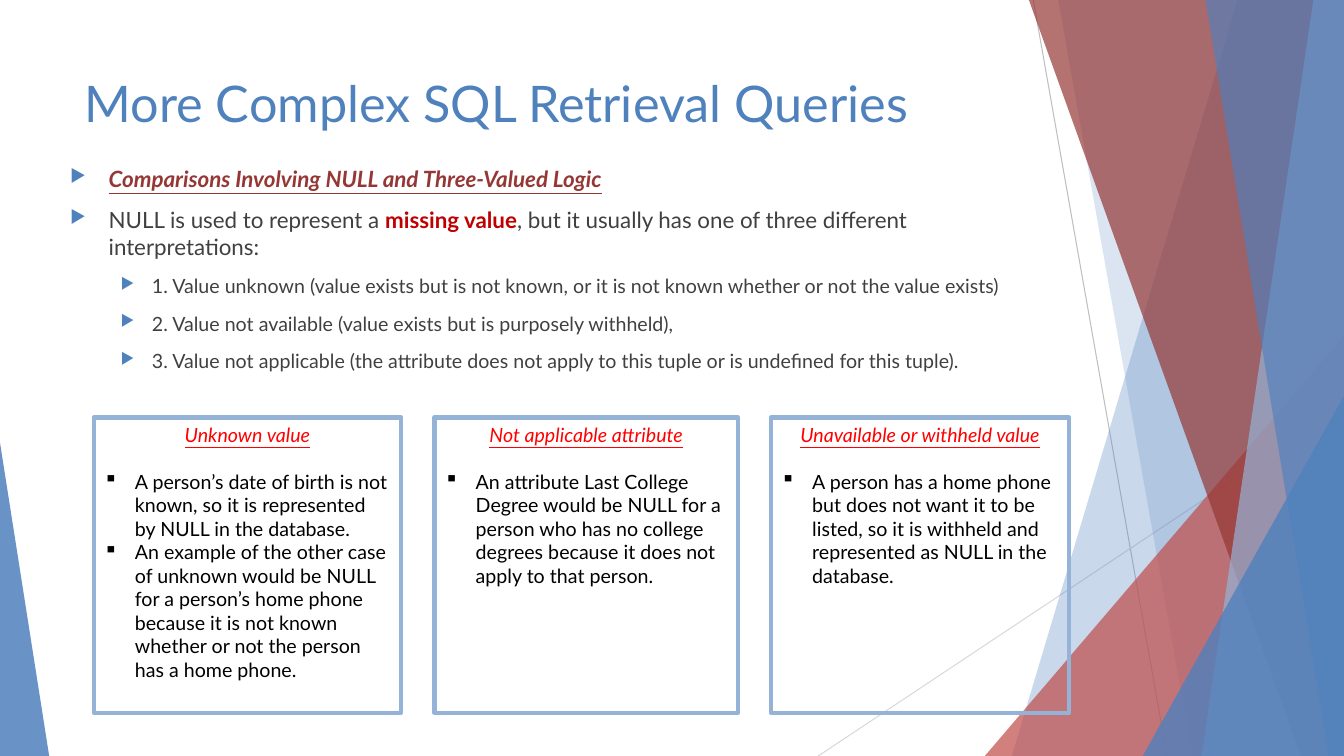
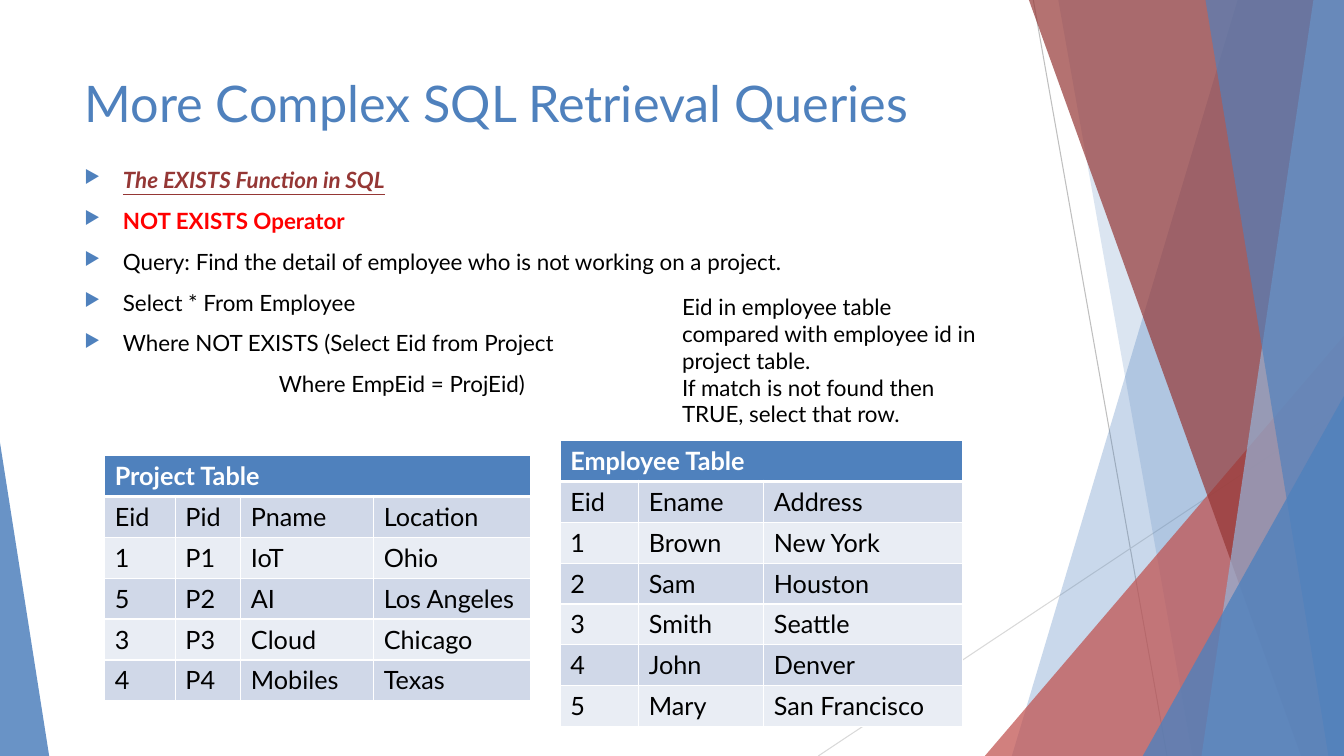
from lxml import etree
from pptx import Presentation
from pptx.dml.color import RGBColor
from pptx.enum.shapes import MSO_CONNECTOR, MSO_SHAPE
from pptx.enum.text import MSO_ANCHOR, PP_ALIGN
from pptx.oxml.ns import qn
from pptx.util import Cm, Pt

STRAIGHT = MSO_CONNECTOR.STRAIGHT
RECTANGLE, TRIANGLE = MSO_SHAPE.RECTANGLE, MSO_SHAPE.ISOSCELES_TRIANGLE
TOP, LEFT, CENTER = MSO_ANCHOR.TOP, PP_ALIGN.LEFT, PP_ALIGN.CENTER

BLUE = RGBColor(0x4F, 0x81, 0xBD)
LIGHT_BLUE = RGBColor(0x95, 0xB3, 0xD7)
RED = RGBColor(0xC0, 0x50, 0x4D)
DARK_RED = RGBColor(0x95, 0x37, 0x35)
BRIGHT_RED = RGBColor(0xFF, 0x00, 0x00)
STRONG_RED = RGBColor(0xC0, 0x00, 0x00)
BLACK = RGBColor(0x00, 0x00, 0x00)
WHITE = RGBColor(0xFF, 0xFF, 0xFF)
GRAY = RGBColor(0x40, 0x40, 0x40)
LINE_GRAY = RGBColor(0xBF, 0xBF, 0xBF)
PALE_GRAY = RGBColor(0xD9, 0xD9, 0xD9)
ROW_DARK = RGBColor(0xD0, 0xD8, 0xE8)
ROW_LIGHT = RGBColor(0xE9, 0xED, 0xF4)

FONT = "Lato"
WIDTH, HEIGHT = 33.87, 19.05

# Paragraph formats, with bullets as (character, left margin, hanging indent, colour)
SPACED = {"space_before": Pt(10)}
ARROW = ("▶", 0.97, 0.97, BLUE)
SUB_ARROW = ("▶", 2.06, 0.79, BLUE)
SQUARE = ("▪", 0.79, 0.79, None)

# Run formats
TOPIC = {"bold": True, "italic": True, "underline": True}
BOLD = {"bold": True}
CARD_TITLE = {"italic": True, "underline": True}


def write(frame, paragraphs):
    """Fill a text frame with (runs, size, bullet, paragraph format) entries."""
    frame.word_wrap = True
    frame.vertical_anchor = TOP
    for index, (runs, size, bullet, layout) in enumerate(paragraphs):
        paragraph = frame.add_paragraph() if index else frame.paragraphs[0]
        paragraph.alignment = LEFT
        for name, value in layout.items():
            setattr(paragraph, name, value)
        for text, color, style in runs:
            run = paragraph.add_run()
            run.text = text
            run.font.color.rgb = color
            for name, value in {"name": FONT, "size": Pt(size), **style}.items():
                setattr(run.font, name, value)
        if bullet:
            character, margin, hanging, color = bullet
            properties = paragraph._p.get_or_add_pPr()
            properties.set("marL", str(Cm(margin)))
            properties.set("indent", str(-Cm(hanging)))
            if color:
                bullet_color = etree.SubElement(properties, qn("a:buClr"))
                etree.SubElement(bullet_color, qn("a:srgbClr"), val=str(color))
                etree.SubElement(properties, qn("a:buSzPct"), val="80000")
            etree.SubElement(properties, qn("a:buChar"), char=character)


def add_text(slide, left, top, width, height, paragraphs):
    box = slide.shapes.add_textbox(Cm(left), Cm(top), Cm(width), Cm(height))
    write(box.text_frame, paragraphs)


presentation = Presentation()
presentation.slide_width, presentation.slide_height = Cm(WIDTH), Cm(HEIGHT)
blank_layout = presentation.slide_layouts[6]

# Shared decoration: thin lines, then facets from back to front
thin_lines = [
    (26.04, 0, 29.41, HEIGHT, LINE_GRAY),
    (WIDTH, 10.24, 20.62, HEIGHT, PALE_GRAY),
]
# Bands reach the right edge: (x at top, x at bottom)
# Triangles stand on the bottom edge: (left, top, width, apex position)
facets = [
    ((31.19, 25.5), BLUE, 30),
    ((26.67, 30.05), BLUE, 20),
    ((24.82, 8.46, 9.05, 1), RED, 72),
    ((25.93, 32.79), DARK_RED, 70),
    ((33.1, 30.28), LIGHT_BLUE, 70),
    ((30.38, 33.48), BLUE, 65),
    ((28.8, 9.98, 5.07, 1), BLUE, 80),
    ((0, 11.15, 1.24, 0), BLUE, 85),
]

slides = []
for number in range(2):
    slide = presentation.slides.add_slide(blank_layout)
    slides.append(slide)
    for start_x, start_y, end_x, end_y, color in thin_lines:
        line = slide.shapes.add_connector(
            STRAIGHT, Cm(start_x), Cm(start_y), Cm(end_x), Cm(end_y))
        line.line.color.rgb = color
        line.line.width = Pt(0.75)
        etree.SubElement(line.element.spPr, qn("a:effectLst"))
    for geometry, color, opacity in facets:
        if len(geometry) == 2:
            top_x, bottom_x = geometry
            builder = slide.shapes.build_freeform(Cm(top_x), 0)
            builder.add_line_segments([
                (Cm(WIDTH), 0), (Cm(WIDTH), Cm(HEIGHT)), (Cm(bottom_x), Cm(HEIGHT))])
            facet = builder.convert_to_shape()
        else:
            left, top, width, apex = geometry
            facet = slide.shapes.add_shape(
                TRIANGLE, Cm(left), Cm(top), Cm(width), Cm(HEIGHT - top))
            facet.adjustments[0] = apex
        facet.shadow.inherit = False
        facet.line.fill.background()
        facet.fill.solid()
        facet.fill.fore_color.rgb = color
        color_element = facet.element.spPr.find(qn("a:solidFill"))[0]
        etree.SubElement(color_element, qn("a:alpha"), val=str(opacity * 1000))
    title = [("More Complex SQL Retrieval Queries", BLUE, {})]
    add_text(slide, 1.88, 1.7, 23.88, 3.66, [(title, 36, None, {})])

null_slide, exists_slide = slides

# Slide 1: meanings of NULL
null_points = [
    ([("Comparisons Involving NULL and Three-Valued Logic", DARK_RED, TOPIC)],
     16, ARROW, SPACED),
    ([("NULL is used to represent a ", GRAY, {}),
      ("missing value", STRONG_RED, BOLD),
      (", but it usually has one of three different interpretations:", GRAY, {})],
     16, ARROW, SPACED),
]
for text in [
    "1. Value unknown (value exists but is not known, or it is not known "
    "whether or not the value exists)",
    "2. Value not available (value exists but is purposely withheld),",
    "3. Value not applicable (the attribute does not apply to this tuple "
    "or is undefined for this tuple).",
]:
    null_points.append(([(text, GRAY, {})], 14, SUB_ARROW, SPACED))
add_text(null_slide, 1.52, 4.04, 25.45, 12.95, null_points)

# Example cards
cards = [
    (2.36, 7.75, "Unknown value", [
        "A person’s date of birth is not known, so it is represented by "
        "NULL in the database.",
        "An example of the other case of unknown would be NULL for a person’s "
        "home phone because it is not known whether or not the person has a "
        "home phone."]),
    (10.95, 7.65, "Not applicable attribute", [
        "An attribute Last College Degree would be NULL for a person who has "
        "no college degrees because it does not apply to that person."]),
    (19.43, 7.52, "Unavailable or withheld value", [
        "A person has a home phone but does not want it to be listed, so it is "
        "withheld and represented as NULL in the database."]),
]
for left, width, heading, examples in cards:
    card = null_slide.shapes.add_shape(
        RECTANGLE, Cm(left), Cm(10.52), Cm(width), Cm(7.44))
    card.shadow.inherit = False
    card.fill.background()
    card.line.color.rgb = LIGHT_BLUE
    card.line.width = Pt(3)
    heading_format = {"alignment": CENTER, "space_after": Pt(16.8)}
    write(card.text_frame,
          [([(heading, BRIGHT_RED, CARD_TITLE)], 14, None, heading_format)]
          + [([(text, BLACK, {})], 14, SQUARE, {}) for text in examples])

# Slide 2: NOT EXISTS query
query_lines = [
    ("The EXISTS Function in SQL", DARK_RED, TOPIC),
    ("NOT EXISTS Operator", BRIGHT_RED, BOLD),
    ("Query: Find the detail of employee who is not working on a project.", BLACK, {}),
    ("Select * From Employee", BLACK, {}),
    ("Where NOT EXISTS (Select Eid from Project", BLACK, {}),
]
query = [([line], 16, ARROW, SPACED) for line in query_lines]
add_text(exists_slide, 1.88, 4.06, 25.07, 12.95, query)
condition = [("Where EmpEid = ProjEid)", BLACK, {})]
add_text(exists_slide, 6.78, 9.2, 8, 1.1, [(condition, 16, None, {})])

# Tables
tables = [
    (14.12, 11.1, [1.98, 3.15, 5.0], "Employee Table", [
        ("Eid", "Ename", "Address"),
        ("1", "Brown", "New York"),
        ("2", "Sam", "Houston"),
        ("3", "Smith", "Seattle"),
        ("4", "John", "Denver"),
        ("5", "Mary", "San Francisco")]),
    (2.64, 11.48, [1.78, 1.65, 3.35, 3.96], "Project Table", [
        ("Eid", "Pid", "Pname", "Location"),
        ("1", "P1", "IoT", "Ohio"),
        ("5", "P2", "AI", "Los Angeles"),
        ("3", "P3", "Cloud", "Chicago"),
        ("4", "P4", "Mobiles", "Texas")]),
]
ROW_HEIGHT = 1.03
for left, top, widths, heading, records in tables:
    row_count = len(records) + 1
    table = exists_slide.shapes.add_table(
        row_count, len(widths), Cm(left), Cm(top),
        Cm(sum(widths)), Cm(ROW_HEIGHT * row_count)).table
    for column, width in zip(table.columns, widths):
        column.width = Cm(width)
    for row_index, row in enumerate(table.rows):
        row.height = Cm(ROW_HEIGHT)
        for column_index, cell in enumerate(row.cells):
            # Borders: a thick rule separates the header from the first row
            properties = cell._tc.get_or_add_tcPr()
            for side in ("L", "R", "T", "B"):
                thick = (row_index, side) in ((0, "B"), (1, "T"))
                border = etree.SubElement(
                    properties, qn("a:ln" + side), w=str(Pt(3 if thick else 1)))
                fill = etree.SubElement(border, qn("a:solidFill"))
                etree.SubElement(fill, qn("a:srgbClr"), val=str(WHITE))
            cell.fill.solid()
            if row_index == 0:
                cell.fill.fore_color.rgb = BLUE
                continue
            cell.fill.fore_color.rgb = ROW_DARK if row_index % 2 else ROW_LIGHT
            text = records[row_index - 1][column_index]
            write(cell.text_frame, [([(text, BLACK, {})], 18, None, {})])
    header = table.cell(0, 0)
    header.merge(table.cell(0, len(widths) - 1))
    write(header.text_frame, [([(heading, WHITE, BOLD)], 18, None, {})])

# Explanation beside the query
explanation = [
    "Eid in employee table compared with employee id in project table.",
    "If match is not found then TRUE, select that row.",
]
add_text(exists_slide, 16.94, 7.26, 7.92, 3.68,
         [([(text, BLACK, {})], 16, None, {}) for text in explanation])

presentation.save("out.pptx")
